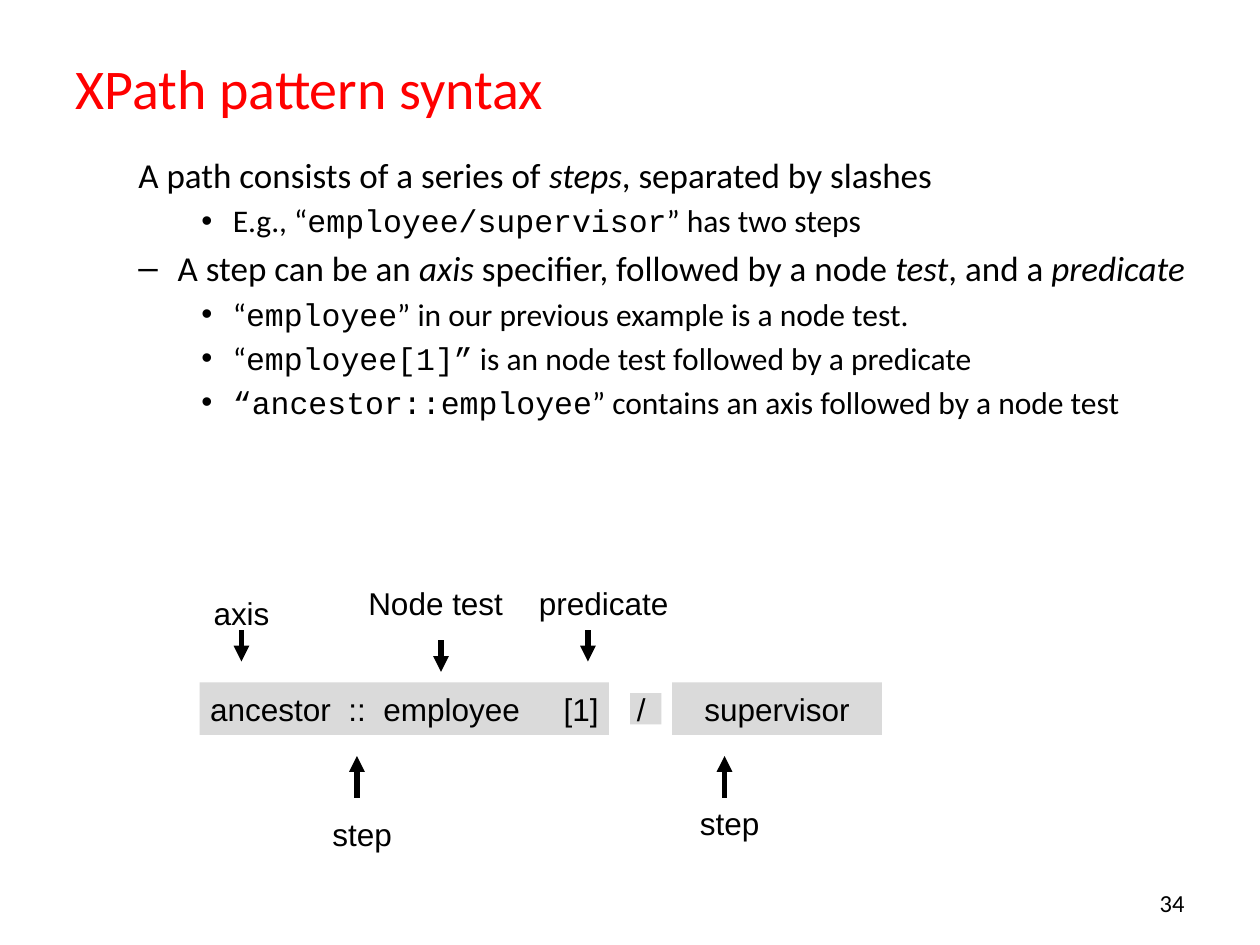
"""Build the slide on XPath pattern syntax with its annotated path diagram."""
from typing import NamedTuple

import pptx
from pptx import util as u
from pptx.dml import color
from pptx.enum import shapes, text
from pptx.oxml import ns, xmlchemy
from pptx.slide import Slide

BLACK, RED, GREY = "000000", "FF0000", "C0C0C0"
BODY, CODE, DIAGRAM = "Calibri", "Courier New", "Arial"


class Span(NamedTuple):
    words: str
    font: str = BODY
    italic: bool = False


class Point(NamedTuple):
    level: int
    bullet: str
    spans: list[Span]


class Level(NamedTuple):
    margin: float
    indent: float
    size: float


class Label(NamedTuple):
    words: str
    left: float
    top: float
    width: float


class Block(NamedTuple):
    words: str
    left: float
    top: float
    width: float
    height: float
    tabs: tuple[float, ...] = ()


class Arrow(NamedTuple):
    x: float
    start: float
    end: float


LEVELS = {1: Level(58.5, -22.5, 20), 2: Level(90, -18, 18)}

POINTS = [
    Point(1, "", [Span("A path consists of a series of "), Span("steps", italic=True),
                  Span(", separated by slashes")]),
    Point(2, "•", [Span("E.g., “"), Span("employee/supervisor", CODE), Span("” has two steps")]),
    Point(1, "–", [Span("A step can be an "), Span("axis ", italic=True),
                   Span("specifier, followed by a node "), Span("test", italic=True),
                   Span(", and a "), Span("predicate", italic=True)]),
    Point(2, "•", [Span("“"), Span("employee", CODE),
                   Span("” in our previous example is a node test.")]),
    Point(2, "•", [Span("“"), Span("employee[1]”", CODE),
                   Span(" is an node test followed by a predicate")]),
    Point(2, "•", [Span("“ancestor::employee", CODE),
                   Span("” contains an axis followed by a node test")]),
]

BLOCKS = [
    Block("ancestor\t::\temployee\t[1]", 114, 390, 234, 30, (79, 99, 202)),
    Block("/ ", 360, 396, 18, 18),
    Block("supervisor", 384, 390, 120, 30),
]

LABELS = [
    Label("axis", 96, 336, 84),
    Label("Node test", 192, 330, 114),
    Label("predicate", 288, 330, 114),
    Label("step", 150, 462, 114),
    Label("step", 360, 456, 114),
]

ARROWS = [
    Arrow(138, 360, 378),
    Arrow(252, 366, 384),
    Arrow(336, 360, 378),
    Arrow(204, 456, 432),
    Arrow(414, 456, 432),
]


def rgb(code: str) -> color.RGBColor:
    """Turn a hex string into a colour."""
    return color.RGBColor.from_string(code)


def add_child(parent, tag: str, **attributes):
    """Append a drawing element with the given attributes."""
    child = xmlchemy.OxmlElement(tag)
    for name, value in attributes.items():
        child.set(name, str(value))
    parent.append(child)
    return child


def add_span(paragraph, span: Span, size: float, ink: str = BLACK) -> None:
    """Add one formatted run to a paragraph."""
    run = paragraph.add_run()
    run.text = span.words
    run.font.name = span.font
    run.font.size = u.Pt(size)
    run.font.italic = span.italic
    run.font.color.rgb = rgb(ink)


def add_frame(slide: Slide, left: float, top: float, width: float, height: float):
    """Add a wrapping text box and return its text frame."""
    frame = slide.shapes.add_textbox(u.Pt(left), u.Pt(top), u.Pt(width), u.Pt(height)).text_frame
    frame.word_wrap = True
    return frame


def add_point(paragraph, point: Point) -> None:
    """Fill a paragraph with one outline point."""
    level = LEVELS[point.level]
    paragraph.level = point.level
    paragraph.space_before = u.Pt(level.size * 0.2)
    properties = paragraph._p.get_or_add_pPr()
    properties.set("marL", str(u.Pt(level.margin)))
    properties.set("indent", str(u.Pt(level.indent)))
    if point.bullet:
        add_child(properties, "a:buFont", typeface="Arial")
        add_child(properties, "a:buChar", char=point.bullet)
    else:
        add_child(properties, "a:buNone")
    for span in point.spans:
        add_span(paragraph, span, level.size)


def add_label(slide: Slide, label: Label) -> None:
    """Add a centred diagram label."""
    frame = add_frame(slide, label.left, label.top, label.width, 29)
    frame.auto_size = text.MSO_AUTO_SIZE.SHAPE_TO_FIT_TEXT
    frame.paragraphs[0].alignment = text.PP_ALIGN.CENTER
    add_span(frame.paragraphs[0], Span(label.words, DIAGRAM), 18)


def add_block(slide: Slide, block: Block) -> None:
    """Add a translucent rectangle holding a part of the path."""
    shape = slide.shapes.add_shape(shapes.MSO_SHAPE.RECTANGLE, u.Pt(block.left), u.Pt(block.top),
                                   u.Pt(block.width), u.Pt(block.height))
    shape.shadow.inherit = False
    shape.line.fill.background()
    shape.fill.solid()
    shape.fill.fore_color.rgb = rgb(GREY)
    add_child(shape._element.spPr.find(".//" + ns.qn("a:srgbClr")), "a:alpha", val=58000)
    frame = shape.text_frame
    frame.vertical_anchor = text.MSO_ANCHOR.MIDDLE
    frame.word_wrap = bool(block.tabs)
    paragraph = frame.paragraphs[0]
    paragraph.alignment = text.PP_ALIGN.CENTER
    if block.tabs:
        frame.margin_left, frame.margin_right = u.Pt(6), u.Pt(0)
        paragraph.alignment = text.PP_ALIGN.LEFT
        stops = add_child(paragraph._p.get_or_add_pPr(), "a:tabLst")
        for stop in block.tabs:
            add_child(stops, "a:tab", pos=u.Pt(stop), algn="l")
    add_span(paragraph, Span(block.words, DIAGRAM), 18)


def add_arrow(slide: Slide, arrow: Arrow) -> None:
    """Add a vertical arrow."""
    line = slide.shapes.add_connector(shapes.MSO_CONNECTOR.STRAIGHT, u.Pt(arrow.x),
                                      u.Pt(arrow.start), u.Pt(arrow.x), u.Pt(arrow.end))
    line.line.color.rgb = rgb(BLACK)
    line.line.width = u.Pt(3)
    add_child(line.line._get_or_add_ln(), "a:tailEnd", type="triangle")
    add_child(line._element.spPr, "a:effectLst")


def main() -> None:
    """Build and save the slide."""
    deck = pptx.Presentation()
    deck.slide_width, deck.slide_height = u.Pt(720), u.Pt(540)
    slide = deck.slides.add_slide(deck.slide_layouts[6])

    title = add_frame(slide, 36, 21.6, 648, 56)
    title.vertical_anchor = text.MSO_ANCHOR.MIDDLE
    add_span(title.paragraphs[0], Span("XPath pattern syntax"), 32, RED)

    outline = add_frame(slide, 36, 84, 654, 386.6)
    for index, point in enumerate(POINTS):
        add_point(outline.add_paragraph() if index else outline.paragraphs[0], point)

    for block in BLOCKS:
        add_block(slide, block)
    for label in LABELS:
        add_label(slide, label)
    for arrow in ARROWS:
        add_arrow(slide, arrow)

    page = add_frame(slide, 516, 504, 168, 25).paragraphs[0]
    page.alignment = text.PP_ALIGN.RIGHT
    add_span(page, Span("34"), 14)
    deck.save("out.pptx")


if __name__ == "__main__":
    main()
